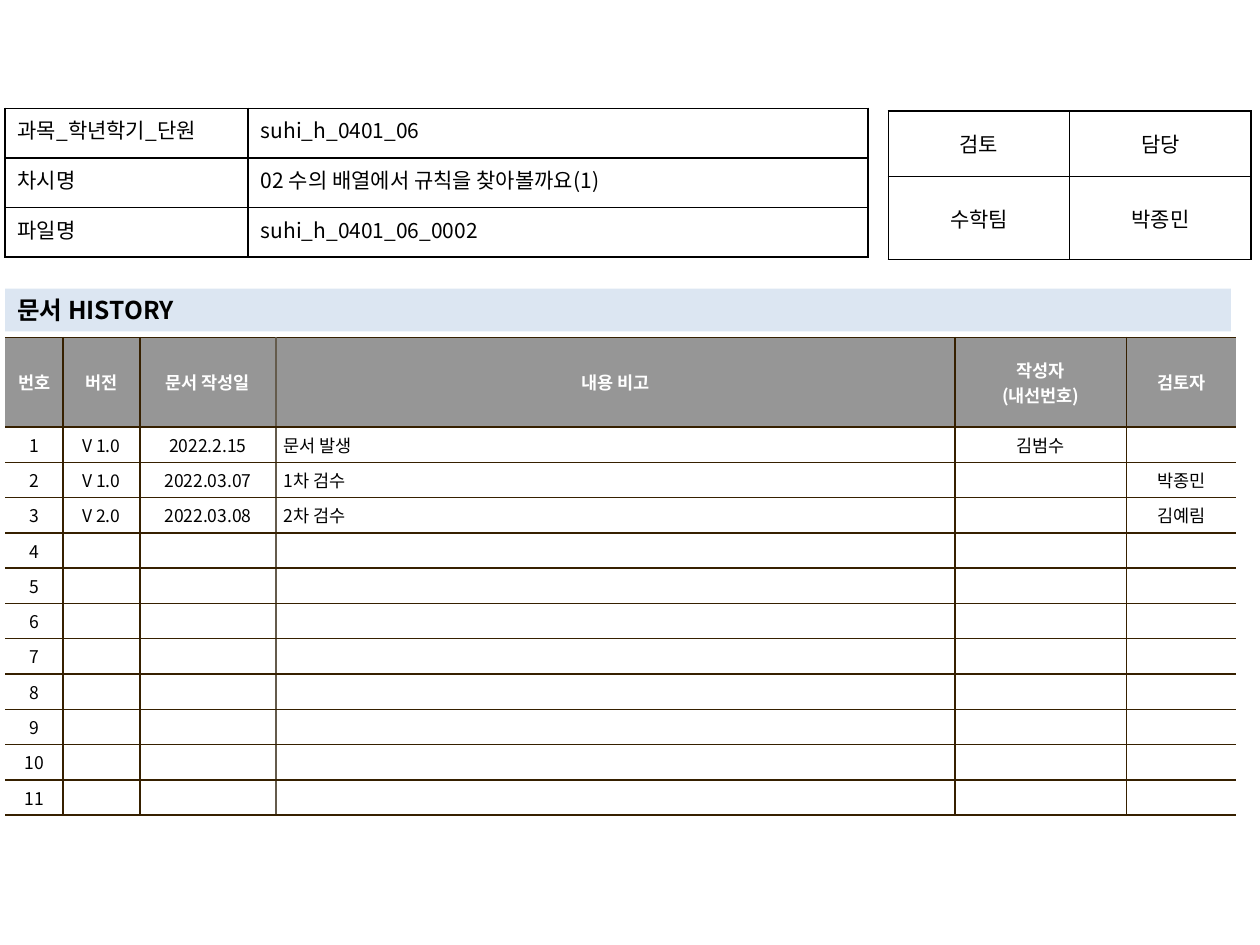
from dataclasses import dataclass
from typing import Optional

from lxml.etree import SubElement
from pptx import Presentation
from pptx.dml.color import RGBColor
from pptx.enum.shapes import MSO_SHAPE
from pptx.enum.text import MSO_ANCHOR as Anchor, PP_ALIGN as Align
from pptx.oxml.ns import qn
from pptx.util import Emu, Inches, Pt

COLUMNS, ROWS = 100, 75
SLIDE_WIDTH, SLIDE_HEIGHT = Inches(10), Inches(7.5)


@dataclass(frozen=True)
class Theme:
    font: str = "Noto Sans CJK KR"
    ink: str = "000000"
    paper: str = "FFFFFF"
    header: str = "969696"
    banner: str = "DCE6F2"
    rule: str = "362000"
    remark_rule: str = "645B4C"
    small: int = 10
    body: int = 12
    title: int = 14
    line: int = 1


THEME = Theme()


@dataclass(frozen=True)
class TextStyle:
    size: int
    color: str = THEME.ink
    bold: bool = False


@dataclass(frozen=True)
class Grid:
    """A table; lengths are counted in slide columns and rows."""
    left: float
    top: float
    widths: tuple
    heights: tuple
    texts: tuple
    aligns: tuple
    style: TextStyle
    rule: str
    margins: tuple
    anchor: Anchor = Anchor.MIDDLE
    open_sides: bool = False
    fill: Optional[str] = None
    header_fill: Optional[str] = None
    header_style: Optional[TextStyle] = None
    remark_column: Optional[int] = None


def across(columns: float) -> Emu:
    return Emu(round(SLIDE_WIDTH * columns / COLUMNS))


def down(rows: float) -> Emu:
    return Emu(round(SLIDE_HEIGHT * rows / ROWS))


def set_all(target, values: dict) -> None:
    for name, value in values.items():
        setattr(target, name, value)


def write(frame, text: str, style: TextStyle, align: Align) -> None:
    frame.text = text
    for paragraph in frame.paragraphs:
        paragraph.alignment = align
        for run in paragraph.runs:
            set_all(run.font, {"name": THEME.font, "size": Pt(style.size), "bold": style.bold})
            run.font.color.rgb = RGBColor.from_string(style.color)
            SubElement(run.font._element, qn("a:ea"), typeface=THEME.font)
        if not paragraph.runs:  # keeps an empty cell as low as a filled one
            SubElement(paragraph._p, qn("a:endParaRPr"), sz=str(style.size * 100))


def draw_borders(cell, colors: dict) -> None:
    """Takes an edge letter (L, R, T, B in this order) to a colour, or None for no line."""
    properties = cell._tc.get_or_add_tcPr()
    for edge, color in colors.items():
        line = SubElement(properties, qn(f"a:ln{edge}"), w=str(Pt(THEME.line)))
        if color is None:
            SubElement(line, qn("a:noFill"))
        else:
            SubElement(SubElement(line, qn("a:solidFill")), qn("a:srgbClr"), val=color)


def edge_colors(grid: Grid, column: int) -> dict:
    def upright(boundary: int) -> Optional[str]:
        if grid.open_sides and boundary in (0, len(grid.widths)):
            return None
        return THEME.remark_rule if boundary == grid.remark_column else grid.rule

    return {"L": upright(column), "R": upright(column + 1), "T": grid.rule, "B": grid.rule}


def draw_grid(slide, grid: Grid) -> None:
    table = slide.shapes.add_table(
        len(grid.heights), len(grid.widths), across(grid.left), down(grid.top),
        across(sum(grid.widths)), down(sum(grid.heights))).table
    set_all(table, {"first_row": False, "horz_banding": False})
    for column, width in zip(table.columns, grid.widths):
        column.width = across(width)
    for row, height in zip(table.rows, grid.heights):
        row.height = down(height)

    side, end = (across(margin) for margin in grid.margins)
    for r, row_texts in enumerate(grid.texts):
        is_header = r == 0 and grid.header_style is not None
        style = grid.header_style if is_header else grid.style
        fill = grid.header_fill if is_header else grid.fill
        for c, align in enumerate(grid.aligns):
            cell = table.cell(r, c)
            text = row_texts[c] if c < len(row_texts) else ""
            write(cell.text_frame, text, style, Align.CENTER if is_header else align)
            set_all(cell, {"margin_left": side, "margin_right": side, "margin_top": end,
                           "margin_bottom": end, "vertical_anchor": grid.anchor})
            draw_borders(cell, edge_colors(grid, c))
            if fill:
                cell.fill.solid()
                cell.fill.fore_color.rgb = RGBColor.from_string(fill)
            else:
                cell.fill.background()


def draw_banner(slide, text: str) -> None:
    banner = slide.shapes.add_shape(
        MSO_SHAPE.RECTANGLE, across(0.4), down(22.9), across(97.3), down(3.4))
    banner.shadow.inherit = False
    banner.fill.solid()
    banner.fill.fore_color.rgb = RGBColor.from_string(THEME.banner)
    banner.line.fill.background()
    set_all(banner.text_frame, {"word_wrap": True, "vertical_anchor": Anchor.MIDDLE})
    write(banner.text_frame, text, TextStyle(THEME.title, bold=True), Align.LEFT)


REVISIONS = (
    ("V 1.0", "2022.2.15", "문서 발생", "김범수"),
    ("V 1.0", "2022.03.07", "1차 검수", "", "박종민"),
    ("V 2.0", "2022.03.08", "2차 검수", "", "김예림"),
)
REVISION_ROWS = 11
HISTORY_HEADER = ("번호", "버전", "문서 작성일", "내용 비고", "작성자\n(내선번호)", "검토자")
REMARK = HISTORY_HEADER.index("내용 비고")

history = Grid(
    left=0.4, top=26.8, widths=(4.6, 6.1, 10.8, 53.9, 13.6, 8.7),
    heights=(7.1,) + (2.5,) * REVISION_ROWS,
    texts=(HISTORY_HEADER,) + tuple(
        (str(i + 1),) + (REVISIONS[i] if i < len(REVISIONS) else ())
        for i in range(REVISION_ROWS)),
    aligns=tuple(Align.LEFT if c == REMARK else Align.CENTER
                 for c in range(len(HISTORY_HEADER))),
    style=TextStyle(THEME.small), rule=THEME.rule, margins=(0.6, 0.4), open_sides=True,
    fill=THEME.paper, header_fill=THEME.header,
    header_style=TextStyle(THEME.small, THEME.paper, True), remark_column=REMARK)

approval = Grid(
    left=70.5, top=8.8, widths=(14.4, 14.4), heights=(5.2, 6.6),
    texts=(("검토", "담당"), ("수학팀", "박종민")),
    aligns=(Align.CENTER, Align.CENTER),
    style=TextStyle(THEME.body), rule=THEME.ink, margins=(1, 0.5))

lesson = Grid(
    left=0.4, top=8.6, widths=(19.3, 49.2), heights=(3.93,) * 3,
    texts=(("과목_학년학기_단원", "suhi_h_0401_06"),
           ("차시명", "02 수의 배열에서 규칙을 찾아볼까요(1)"),
           ("파일명", "suhi_h_0401_06_0002")),
    aligns=(Align.JUSTIFY, Align.LEFT),
    style=TextStyle(THEME.body), rule=THEME.ink, margins=(1, 0.5), anchor=Anchor.TOP)


def main() -> None:
    deck = Presentation()
    set_all(deck, {"slide_width": SLIDE_WIDTH, "slide_height": SLIDE_HEIGHT})
    slide = deck.slides.add_slide(deck.slide_layouts[6])
    draw_grid(slide, history)
    draw_grid(slide, approval)
    draw_banner(slide, "문서 HISTORY")
    draw_grid(slide, lesson)
    deck.save("out.pptx")


if __name__ == "__main__":
    main()
